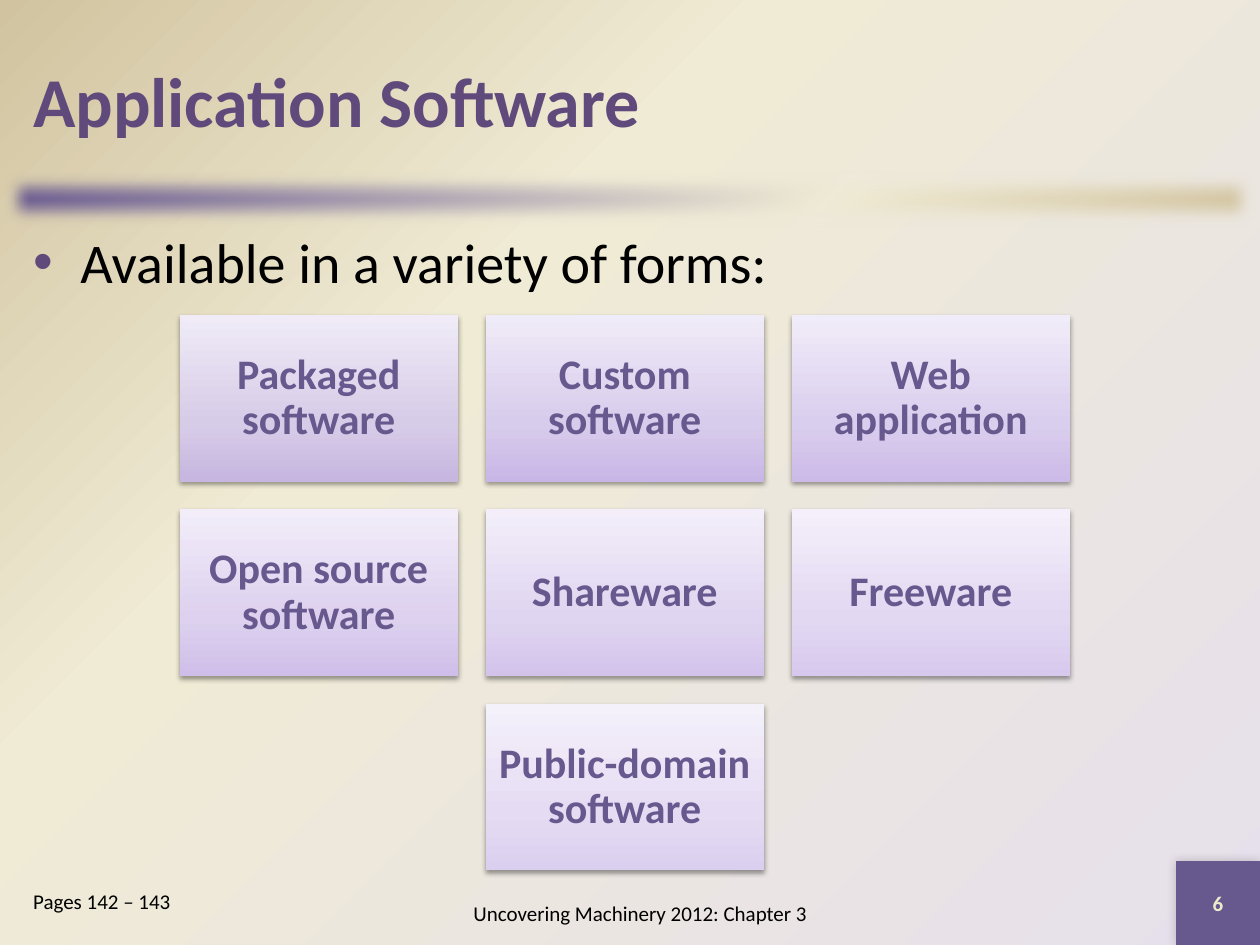
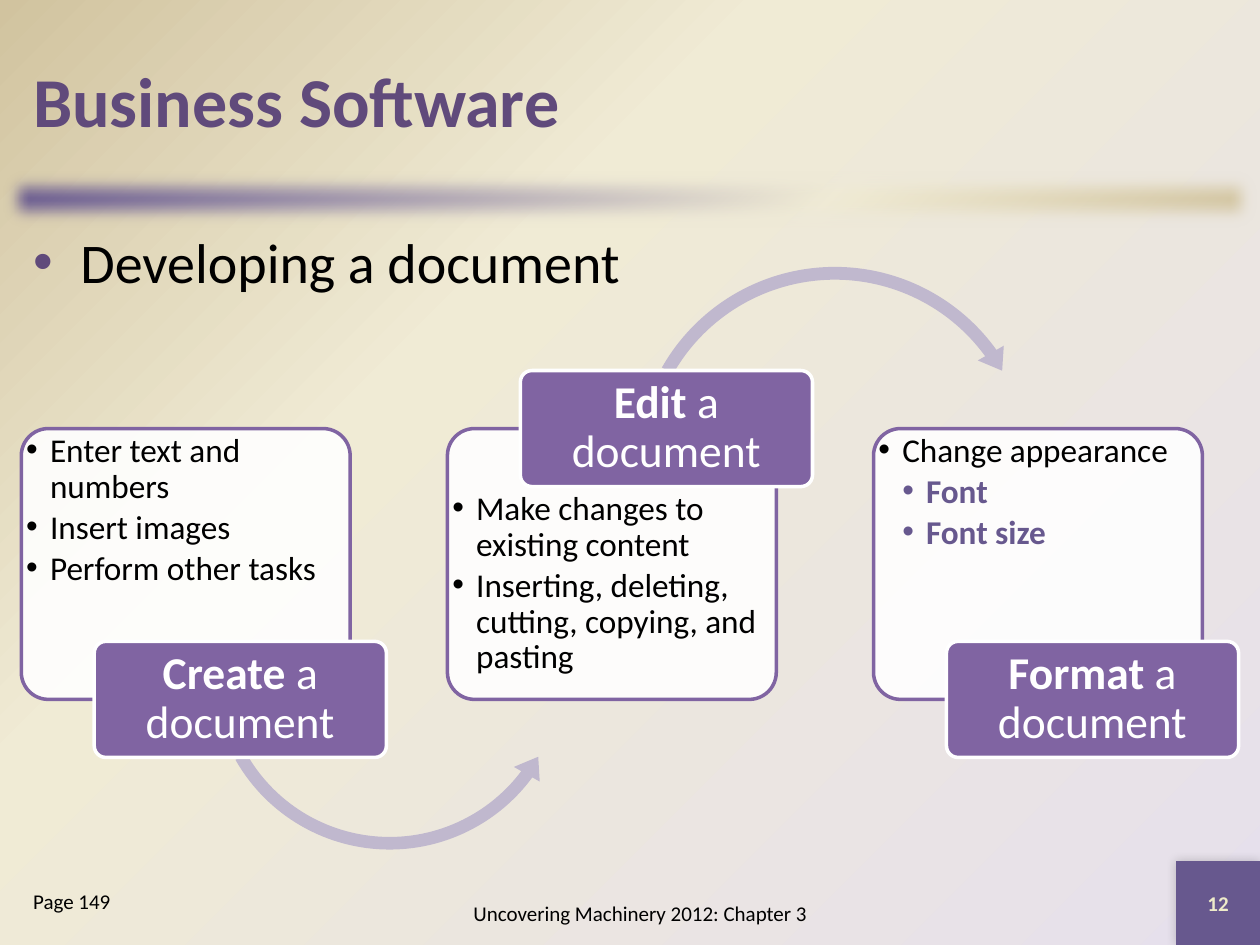
from dataclasses import dataclass

from lxml.etree import SubElement
from pptx import Presentation
from pptx.dml.color import RGBColor
from pptx.enum.shapes import MSO_SHAPE
from pptx.enum.text import MSO_ANCHOR, PP_ALIGN
from pptx.oxml import parse_xml
from pptx.oxml.ns import nsdecls, qn
from pptx.util import Cm, Pt


@dataclass(frozen=True)
class Theme:
    """Colours, font and type sizes of the deck."""
    font: str = "Calibri"
    title: str = "604A7B"
    accent: str = "67588E"
    label: str = "8064A2"
    arrow: str = "C0B8CE"
    number: str = "EEEBCA"
    black: str = "000000"
    white: str = "FFFFFF"
    cream: str = "F0EBD5"
    sand: str = "D1C39F"
    lavender: str = "E6E0EC"
    title_size: float = 40
    body_size: float = 32
    label_size: float = 26
    tile_size: float = 24
    card_size: float = 19
    footer_size: float = 12


THEME = Theme()


@dataclass(frozen=True)
class Box:
    """A rectangle in centimetres."""
    left: float
    top: float
    width: float
    height: float

    def inner(self, right, down, width, height):
        """Return a box placed relative to this one's top left corner."""
        return Box(self.left + right, self.top + down, width, height)

    def lengths(self):
        """Return the four lengths for a shape."""
        return [Cm(value) for value in (self.left, self.top, self.width, self.height)]


PAGE = Box(0, 0, 25.4, 19.05)
TITLE = Box(0.42, 0.42, 24.56, 3.18)
BAR = Box(0, 3.38, 25.4, 1.27)
BODY = Box(0.42, 4.45, 24.56, 12.9)
FOOTER = Box(7.62, 17.78, 10.58, 1.27)
PAGES = Box(0.42, 17.78, 4.65, 1.27)
CORNER = Box(23.71, 17.36, 1.69, 1.69)
TILES = Box(3.62, 6.35, 17.95, 11.2)
CARDS = Box(0.43, 8.64, 23.81, 5.46)


def paint_gradient(holder, stops, direction):
    """Replace the solid fill of an element with a gradient."""
    marks = "".join(
        f'<a:gs pos="{place * 1000}"><a:srgbClr val="{color}"/></a:gs>' for place, color in stops)
    gradient = parse_xml(
        f'<a:gradFill {nsdecls("a")} rotWithShape="1"><a:gsLst>{marks}</a:gsLst>{direction}</a:gradFill>')
    holder.replace(holder.find(qn("a:solidFill")), gradient)


def linear(degrees):
    """Return the direction of a straight gradient."""
    return f'<a:lin ang="{degrees * 60000}" scaled="0"/>'


def add_effect(shape, effect):
    """Put one effect into the shape's empty effect list."""
    shape.element.spPr.find(qn("a:effectLst")).append(parse_xml(effect))


def add_shadow(shape, opacity, blur, distance, degrees):
    """Give the shape a soft black shadow."""
    add_effect(shape, (
        f'<a:outerShdw {nsdecls("a")} blurRad="{Pt(blur)}" dist="{Pt(distance)}" '
        f'dir="{degrees * 60000}" rotWithShape="0"><a:srgbClr val="{THEME.black}">'
        f'<a:alpha val="{opacity * 1000}"/></a:srgbClr></a:outerShdw>'))


def add_figure(page, kind, box, fill, line=None, adjustments=()):
    """Add a preset shape with a flat fill and an optional outline."""
    shape = page.shapes.add_shape(kind, *box.lengths())
    shape.shadow.inherit = False
    shape.fill.solid()
    shape.fill.fore_color.rgb = RGBColor.from_string(fill)
    if line:
        shape.line.color.rgb = RGBColor.from_string(line)
        shape.line.width = Pt(2)
    else:
        shape.line.fill.background()
    for index, value in enumerate(adjustments):
        shape.adjustments[index] = value
    return shape


def set_frame(shape, anchor=MSO_ANCHOR.TOP, side=0.25, edge=0.13):
    """Set wrapping, anchor and margins, and return the text frame."""
    frame = shape.text_frame
    frame.word_wrap = True
    frame.vertical_anchor = anchor
    frame.margin_left = frame.margin_right = Cm(side)
    frame.margin_top = frame.margin_bottom = Cm(edge)
    return frame


def add_span(para, text, size, color, bold=False):
    """Add one formatted run."""
    span = para.add_run()
    span.text = text
    span.font.name = THEME.font
    span.font.size = Pt(size)
    span.font.bold = bold
    span.font.color.rgb = RGBColor.from_string(color)


def add_bullet(para, margin, hang, color):
    """Give the paragraph a hanging round bullet."""
    properties = para._p.get_or_add_pPr()
    properties.set("marL", str(Cm(margin)))
    properties.set("indent", str(-Cm(hang)))
    SubElement(SubElement(properties, qn("a:buClr")), qn("a:srgbClr")).set("val", color)
    SubElement(properties, qn("a:buFont")).set("typeface", "Arial")
    SubElement(properties, qn("a:buChar")).set("char", "•")


def add_line_of_text(page, box, text, size, anchor=MSO_ANCHOR.TOP, align=PP_ALIGN.LEFT):
    """Add a text box with one black paragraph and return the paragraph."""
    frame = set_frame(page.shapes.add_textbox(*box.lengths()), anchor)
    para = frame.paragraphs[0]
    para.alignment = align
    add_span(para, text, size, THEME.black)
    return para


def paint_background(master):
    """Spread the shared glow over the master."""
    master.background.fill.solid()
    paint_gradient(
        master.element.find(".//" + qn("p:bgPr")),
        [(0, THEME.lavender), (65, THEME.cream), (100, THEME.sand)],
        '<a:path path="circle"><a:fillToRect l="100000" t="100000"/></a:path>')


def add_page(deck, title, lead, pages, number):
    """Add a slide with title, bar, lead bullet and footers."""
    page = deck.slides.add_slide(deck.slide_layouts[5])
    heading = page.shapes.title
    heading.left, heading.top, heading.width, heading.height = TITLE.lengths()
    para = set_frame(heading, MSO_ANCHOR.MIDDLE).paragraphs[0]
    para.alignment = PP_ALIGN.LEFT
    add_span(para, title, THEME.title_size, THEME.title, True)

    bar = add_figure(page, MSO_SHAPE.RECTANGLE, BAR, THEME.accent)
    paint_gradient(
        bar.element.spPr, [(0, THEME.accent), (65, THEME.cream), (100, THEME.sand)], linear(45))
    add_effect(bar, f'<a:softEdge {nsdecls("a")} rad="{Pt(10)}"/>')

    add_bullet(add_line_of_text(page, BODY, lead, THEME.body_size), 0.95, 0.95, THEME.title)
    add_line_of_text(page, FOOTER, "Uncovering Machinery 2012: Chapter 3",
                     THEME.footer_size, MSO_ANCHOR.MIDDLE, PP_ALIGN.CENTER)
    add_line_of_text(page, PAGES, pages, THEME.footer_size)

    corner = add_figure(page, MSO_SHAPE.RECTANGLE, CORNER, THEME.accent)
    add_shadow(corner, 20, 6, 0, 225)
    para = set_frame(corner, MSO_ANCHOR.MIDDLE).paragraphs[0]
    para.alignment = PP_ALIGN.CENTER
    add_span(para, number, THEME.footer_size, THEME.number, True)
    return page


def add_tile(page, box, text, colors):
    """Add one shaded tile with a centred name."""
    tile = add_figure(page, MSO_SHAPE.RECTANGLE, box, colors[0])
    paint_gradient(tile.element.spPr, zip((0, 35, 100), colors), linear(270))
    add_shadow(tile, 38, 3.1, 1.6, 90)
    para = set_frame(tile, MSO_ANCHOR.MIDDLE, 0.25, 0.25).paragraphs[0]
    para.alignment = PP_ALIGN.CENTER
    para.line_spacing = 0.9
    add_span(para, text, THEME.tile_size, THEME.accent, True)


def add_tiles(page, box, rows):
    """Lay out rows of tiles, centring the short ones."""
    gap = 0.56
    columns = max(len(row) for row in rows)
    width = (box.width + gap) / columns - gap
    height = (box.height + gap) / len(rows) - gap
    for row_index, row in enumerate(rows):
        start = (columns - len(row)) / 2
        for index, (text, *colors) in enumerate(row):
            place = box.inner(
                (start + index) * (width + gap), row_index * (height + gap), width, height)
            add_tile(page, place, text, colors)


def add_card(page, box, verb, items, label_on_top, arrow):
    """Add a card with its bullets, outgoing arrow and overlapping label."""
    label_height = 2.34
    overlap = label_height / 2
    add_figure(page, MSO_SHAPE.ROUNDED_RECTANGLE, box, THEME.white, THEME.label, [0.1]
               ).element.spPr.find(qn("a:solidFill"))[0].append(
        parse_xml(f'<a:alpha {nsdecls("a")} val="90000"/>'))

    text_box = box.inner(0, overlap if label_on_top else 0, box.width, box.height - overlap)
    frame = set_frame(page.shapes.add_textbox(*text_box.lengths()), side=0.1, edge=0.1)
    for index, (level, text) in enumerate(items):
        para = frame.add_paragraph() if index else frame.paragraphs[0]
        color = THEME.accent if level == 2 else THEME.black
        add_bullet(para, 0.48 * level, 0.48, color)
        para.line_spacing = 0.9
        para.space_after = Pt(2.9)
        add_span(para, text, THEME.card_size, color, level == 2)

    if arrow:
        kind, right, down, size, adjustments = arrow
        add_figure(page, kind, box.inner(right, down, size, size), THEME.arrow,
                   adjustments=adjustments)

    label_box = box.inner(
        1.47, (0 if label_on_top else box.height) - overlap, 5.89, label_height)
    label = add_figure(
        page, MSO_SHAPE.ROUNDED_RECTANGLE, label_box, THEME.label, THEME.white, [0.1])
    para = set_frame(label, MSO_ANCHOR.MIDDLE, 0.13, 0.1).paragraphs[0]
    para.alignment = PP_ALIGN.CENTER
    para.line_spacing = 0.9
    add_span(para, verb, THEME.label_size, THEME.white, True)
    add_span(para, " a document", THEME.label_size, THEME.white)


def add_cards(page, box, steps):
    """Lay out the steps side by side, raising every second label."""
    width = 6.63
    pitch = (box.width - width) / (len(steps) - 1)
    for index, (verb, items, arrow) in enumerate(steps):
        place = box.inner(index * pitch, 0, width, box.height)
        add_card(page, place, verb, items, index % 2 == 1, arrow)


SOFTWARE_FORMS = [
    [("Packaged software", "C6B6E0", "D7CCE8", "F0EBF7"),
     ("Custom software", "C8B6E6", "D8CCEC", "F0EBF8"),
     ("Web application", "CCBAE8", "DACEEE", "F1ECF9")],
    [("Open source software", "CFBEE9", "DDD1EF", "F2EDF9"),
     ("Shareware", "D3C3EB", "DFD5F0", "F3EEFA"),
     ("Freeware", "D7C9ED", "E2D8F2", "F4EFFA")],
    [("Public-domain software", "DBCFEF", "E5DCF3", "F5F1FB")],
]

DOCUMENT_STEPS = [
    ("Create",
     [(1, "Enter text and numbers"), (1, "Insert images"), (1, "Perform other tasks")],
     (MSO_SHAPE.LEFT_CIRCULAR_ARROW, 3.68, 1.17, 7.49, (0.034, 4.208, 21.963, 90.245, 0.04))),
    ("Edit",
     [(1, "Make changes to existing content"),
      (1, "Inserting, deleting, cutting, copying, and pasting")],
     (MSO_SHAPE.CIRCULAR_ARROW, 3.63, -3.43, 8.36, (0.031, 3.75, 194.495, 125.755, 0.036))),
    ("Format", [(1, "Change appearance"), (2, "Font"), (2, "Font size")], None),
]


def main():
    """Build and save the deck."""
    deck = Presentation()
    deck.slide_width, deck.slide_height = Cm(PAGE.width), Cm(PAGE.height)
    paint_background(deck.slide_master)
    forms = add_page(
        deck, "Application Software", "Available in a variety of forms:", "Pages 142 – 143", "6")
    add_tiles(forms, TILES, SOFTWARE_FORMS)
    steps = add_page(deck, "Business Software", "Developing a document", "Page 149", "12")
    add_cards(steps, CARDS, DOCUMENT_STEPS)
    deck.save("out.pptx")


if __name__ == "__main__":
    main()
